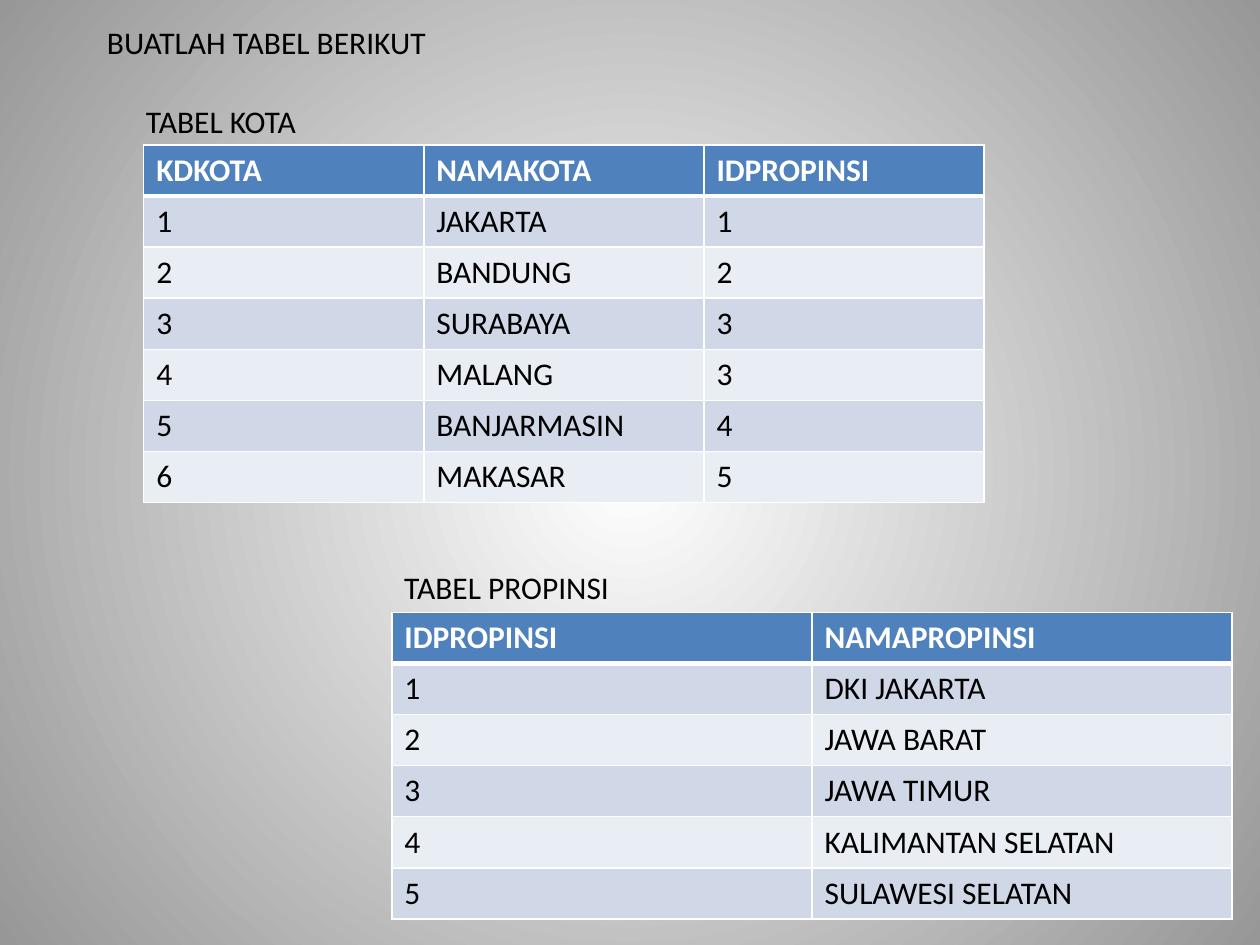
from pptx import Presentation
from pptx.dml.color import RGBColor
from pptx.oxml import parse_xml
from pptx.oxml.ns import nsdecls, qn
from pptx.util import Inches, Pt

COLORS = {
    "white": "FFFFFF", "edge": "979797", "black": "000000",
    "header": "4F81BD", "odd": "D0D8E8", "even": "E9EDF4",
}
FONT = "Calibri"
ROW_HEIGHT = 0.405
TABLE_WIDTH = 6.67
CAPTION_SIZE = (6.22, 0.4)

KOTA = [
    ("KDKOTA", "NAMAKOTA", "IDPROPINSI"),
    ("1", "JAKARTA", "1"),
    ("2", "BANDUNG", "2"),
    ("3", "SURABAYA", "3"),
    ("4", "MALANG", "3"),
    ("5", "BANJARMASIN", "4"),
    ("6", "MAKASAR", "5"),
]
PROPINSI = [
    ("IDPROPINSI", "NAMAPROPINSI"),
    ("1", "DKI JAKARTA"),
    ("2", "JAWA BARAT"),
    ("3", "JAWA TIMUR"),
    ("4", "KALIMANTAN SELATAN"),
    ("5", "SULAWESI SELATAN"),
]


def rgb(name):
    return RGBColor.from_string(COLORS[name])


def style(paragraph, color, bold=False):
    font = paragraph.font
    font.name, font.size, font.bold = FONT, Pt(18), bold
    font.color.rgb = rgb(color)


def paint_background(slide):
    """Radial gradient, light in the centre."""
    fill = slide.background.fill
    fill.gradient()
    for stop, position, color in zip(fill.gradient_stops, (0, 1), ("white", "edge")):
        stop.position = position
        stop.color.rgb = rgb(color)
    gradient = slide.element.find(".//" + qn("a:gradFill"))
    gradient.replace(gradient.find(qn("a:lin")), parse_xml(
        f'<a:path {nsdecls("a")} path="circle">'
        '<a:fillToRect l="50000" t="50000" r="50000" b="50000"/></a:path>'))


def add_caption(slide, left, top, text):
    width, height = CAPTION_SIZE
    box = slide.shapes.add_textbox(
        Inches(left), Inches(top), Inches(width), Inches(height))
    box.text_frame.word_wrap = True
    box.text_frame.text = text
    style(box.text_frame.paragraphs[0], "black")


def set_borders(cell, top, bottom):
    """White borders, placed ahead of the cell fill."""
    properties = cell._tc.get_or_add_tcPr()
    sides = {"L": 1, "R": 1, "T": top, "B": bottom}
    for index, (side, width) in enumerate(sides.items()):
        properties.insert(index, parse_xml(
            f'<a:ln{side} {nsdecls("a")} w="{Pt(width)}"><a:solidFill>'
            f'<a:srgbClr val="{COLORS["white"]}"/></a:solidFill></a:ln{side}>'))


def add_data_table(slide, left, top, rows):
    columns = len(rows[0])
    table = slide.shapes.add_table(
        len(rows), columns, Inches(left), Inches(top),
        Inches(TABLE_WIDTH), Inches(ROW_HEIGHT * len(rows))).table
    for column in table.columns:
        column.width = Inches(TABLE_WIDTH / columns)
    for r, values in enumerate(rows):
        table.rows[r].height = Inches(ROW_HEIGHT)
        is_header = r == 0
        band = "header" if is_header else ("even", "odd")[r % 2]
        for c, value in enumerate(values):
            cell = table.cell(r, c)
            cell.text = value
            cell.fill.solid()
            cell.fill.fore_color.rgb = rgb(band)
            style(cell.text_frame.paragraphs[0],
                  "white" if is_header else "black", is_header)
            set_borders(cell, top=3 if r == 1 else 1, bottom=3 if is_header else 1)


def build_slide(presentation):
    slide = presentation.slides.add_slide(presentation.slide_layouts[6])
    paint_background(slide)
    # Tables
    add_data_table(slide, 1.14, 1.15, KOTA)
    add_data_table(slide, 3.11, 4.86, PROPINSI)
    # Heading and table captions
    add_caption(slide, 0.75, 0.13, "BUATLAH TABEL BERIKUT")
    add_caption(slide, 1.06, 0.76, "TABEL KOTA")
    add_caption(slide, 3.11, 4.46, "TABEL PROPINSI")


presentation = Presentation()
presentation.slide_width, presentation.slide_height = Inches(10), Inches(7.5)
build_slide(presentation)
presentation.save("out.pptx")
